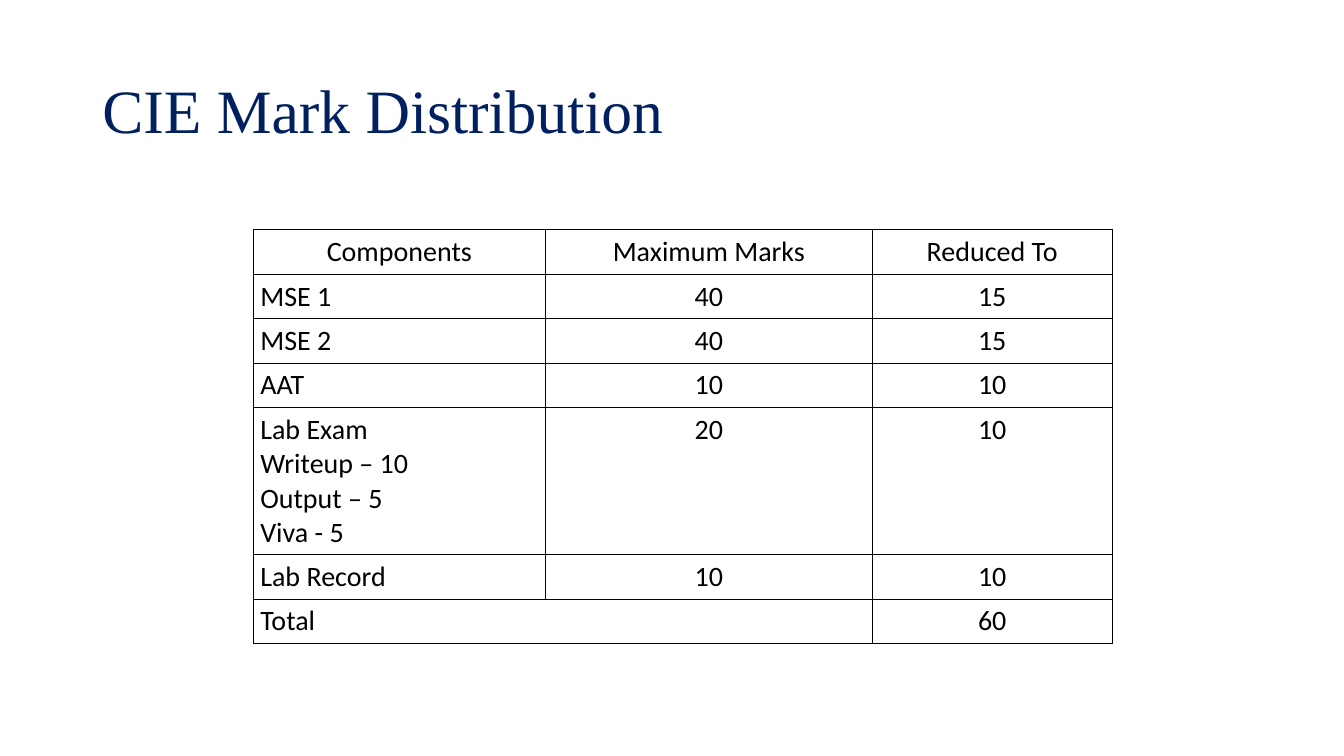
"""Build the CIE mark distribution slide."""
from dataclasses import dataclass

from lxml import etree
from pptx import Presentation
from pptx import util as u
from pptx.dml.color import RGBColor
from pptx.enum import text
from pptx.oxml import ns

BLACK = "000000"
NAVY = "002060"
COLUMN_WIDTHS = (7.37, 8.23, 6.05)
LINE_HEIGHT = 0.86
ROW_PADDING = 0.26


@dataclass(frozen=True)
class MarkRow:
    component: str
    maximum: str
    reduced: str
    is_header: bool = False

    @property
    def height(self) -> float:
        return ROW_PADDING + LINE_HEIGHT * len(self.component.split("\n"))


MARK_ROWS = (
    MarkRow("Components", "Maximum Marks", "Reduced To", is_header=True),
    MarkRow("MSE 1", "40", "15"),
    MarkRow("MSE 2", "40", "15"),
    MarkRow("AAT", "10", "10"),
    MarkRow("Lab Exam\nWriteup – 10\nOutput – 5\nViva - 5", "20", "10"),
    MarkRow("Lab Record", "10", "10"),
    MarkRow("Total", "", "60"),
)


def color(value: str) -> RGBColor:
    return RGBColor.from_string(value)


def style_font(font, face: str, size: float, value: str) -> None:
    font.name = face
    font.size = u.Pt(size)
    font.color.rgb = color(value)


def add_borders(cell, value: str, width: float) -> None:
    properties = cell._tc.get_or_add_tcPr()
    for side in ("L", "R", "T", "B"):
        line = etree.SubElement(properties, ns.qn(f"a:ln{side}"), w=str(u.Pt(width)))
        fill = etree.SubElement(line, ns.qn("a:solidFill"))
        etree.SubElement(fill, ns.qn("a:srgbClr"), val=value)


def fill_cell(cell, content: str, centred: bool) -> None:
    add_borders(cell, BLACK, 0.5)
    cell.fill.background()
    cell.margin_left = cell.margin_right = u.Cm(0.18)
    cell.margin_top = cell.margin_bottom = u.Cm(0.13)
    cell.text_frame.text = content
    for paragraph in cell.text_frame.paragraphs:
        paragraph.alignment = text.PP_ALIGN.CENTER if centred else text.PP_ALIGN.LEFT
        style_font(paragraph.font, "Calibri", 20, BLACK)
        for run in paragraph.runs:
            style_font(run.font, "Calibri", 20, BLACK)


def add_title(slide, content: str) -> None:
    title = slide.shapes.add_textbox(u.Cm(2.33), u.Cm(1.01), u.Cm(29.21), u.Cm(3.68))
    frame = title.text_frame
    frame.word_wrap = True
    frame.vertical_anchor = text.MSO_ANCHOR.MIDDLE
    frame.text = content
    frame.paragraphs[0].line_spacing = 0.9
    style_font(frame.paragraphs[0].runs[0].font, "Times New Roman", 44, NAVY)


def add_marks(slide, rows: tuple[MarkRow, ...]) -> None:
    marks = slide.shapes.add_table(
        len(rows), len(COLUMN_WIDTHS), u.Cm(6.38), u.Cm(5.79),
        u.Cm(sum(COLUMN_WIDTHS)), u.Cm(sum(row.height for row in rows)),
    ).table
    marks.first_row = marks.horz_banding = False
    for column, width in zip(marks.columns, COLUMN_WIDTHS):
        column.width = u.Cm(width)
    for index, row in enumerate(rows):
        marks.rows[index].height = u.Cm(row.height)
        for position, content in enumerate((row.component, row.maximum, row.reduced)):
            fill_cell(marks.cell(index, position), content, row.is_header or position > 0)
    total = len(rows) - 1
    marks.cell(total, 0).merge(marks.cell(total, 1))


def main() -> None:
    deck = Presentation()
    deck.slide_width, deck.slide_height = u.Cm(33.87), u.Cm(19.05)
    slide = deck.slides.add_slide(deck.slide_layouts[6])
    add_title(slide, "CIE Mark Distribution")
    add_marks(slide, MARK_ROWS)
    deck.save("out.pptx")


if __name__ == "__main__":
    main()
